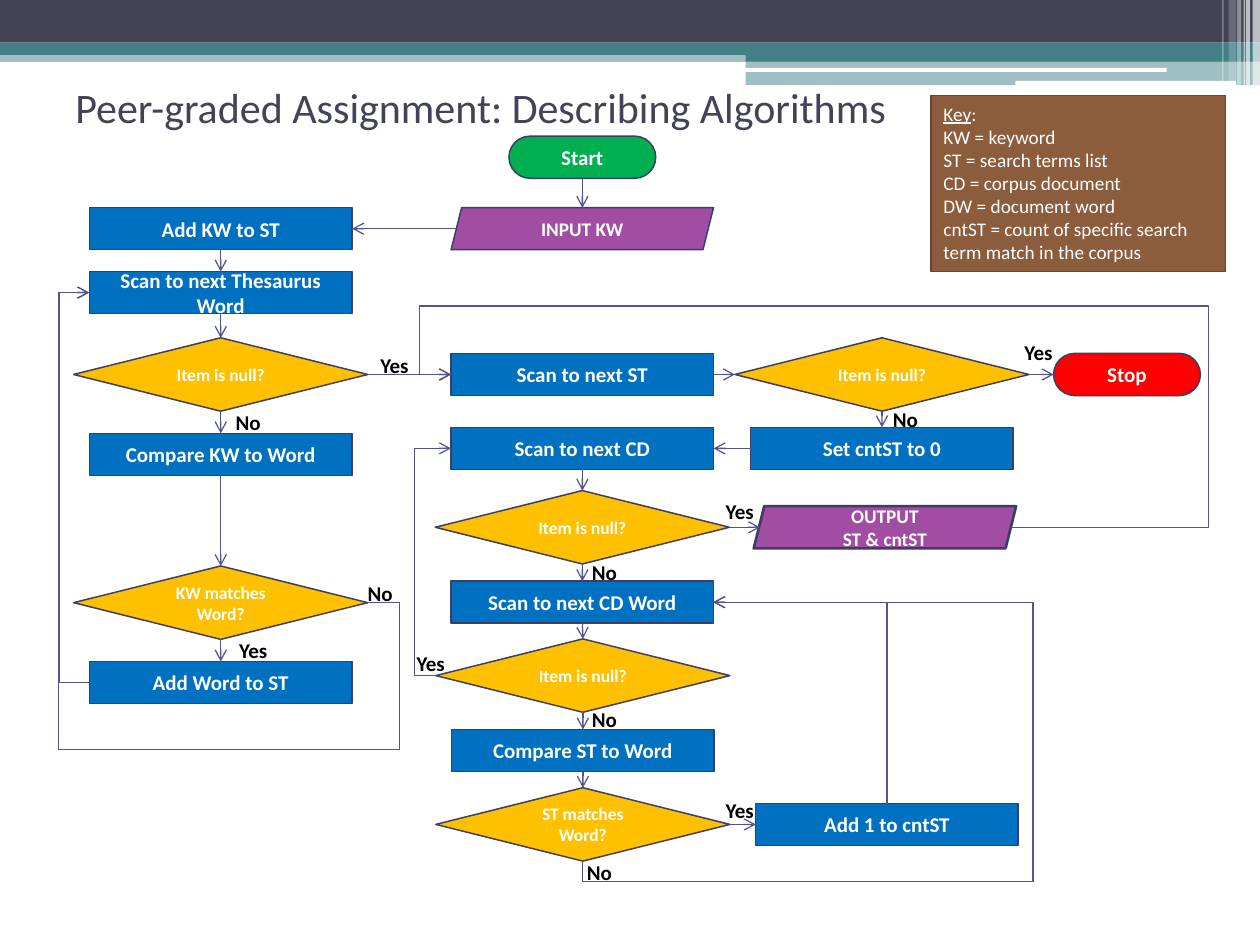
"""Build the flowchart slide for the keyword search algorithm."""
from itertools import pairwise

from lxml import etree
from pptx import Presentation
from pptx import util as u
from pptx.dml.color import RGBColor
from pptx.enum import shapes, text
from pptx.oxml.ns import qn

WHITE = RGBColor(0xFF, 0xFF, 0xFF)
BLACK = RGBColor(0, 0, 0)
SLATE = RGBColor(0x42, 0x44, 0x56)
TEAL = RGBColor(0x43, 0x80, 0x86)
BLUE = RGBColor(0x00, 0x70, 0xC0)
GOLD = RGBColor(0xFF, 0xC0, 0x00)
GREEN = RGBColor(0x00, 0xB0, 0x50)
RED = RGBColor(0xFF, 0, 0)
PURPLE = RGBColor(0xA0, 0x4D, 0xA3)
BROWN = RGBColor(0x8B, 0x5D, 0x3D)
UMBER = RGBColor(0x67, 0x45, 0x2D)
EDGE = RGBColor(0x3D, 0x3E, 0x66)
INDIGO = RGBColor(0x53, 0x54, 0x8A)
FORM = shapes.MSO_SHAPE
TOP, LEFT, BOTTOM, RIGHT = range(4)

deck = Presentation()
deck.slide_width, deck.slide_height = u.Cm(25.4), u.Cm(19.05)
slide = deck.slides.add_slide(deck.slide_layouts[6])
items = slide.shapes


def write(shape, words, size=12, color=WHITE, bold=True, align=text.PP_ALIGN.CENTER,
          anchor=text.MSO_ANCHOR.MIDDLE, wrap=True):
    frame = shape.text_frame
    frame.word_wrap = wrap
    frame.vertical_anchor = anchor
    for i, line in enumerate(words.split("\n")):
        para = frame.add_paragraph() if i else frame.paragraphs[0]
        para.alignment = align
        for part in line.split("|"):
            run = para.add_run()
            run.text = part
            run.font.name, run.font.size, run.font.bold = "Calibri", u.Pt(size), bold
            run.font.color.rgb = color


def wire(start, end, bends=None, tip="tailEnd"):
    kind = shapes.MSO_CONNECTOR.STRAIGHT if bends is None else shapes.MSO_CONNECTOR.ELBOW
    link = items.add_connector(kind, *map(u.Cm, start + end))
    link.line.color.rgb = INDIGO
    link.line.width = u.Pt(0.75)
    prop = link._element.spPr
    etree.SubElement(prop.find(qn("a:ln")), qn(f"a:{tip}"), type="arrow")
    etree.SubElement(prop, qn("a:effectLst"))
    if bends is not None:
        geom = prop.find(qn("a:prstGeom"))
        geom.clear()
        geom.set("prst", f"bentConnector{len(bends) + 2}")
        guides = etree.SubElement(geom, qn("a:avLst"))
        for i, stop in enumerate(bends):
            axis = i % 2
            ratio = (stop - start[axis]) / (end[axis] - start[axis])
            name = "adj" if len(bends) == 1 else f"adj{i + 1}"
            etree.SubElement(guides, qn("a:gd"), name=f"adj{i + 1}" if name == "adj" else name,
                             fmla=f"val {round(ratio * 100000)}")
    return link


bands = [
    (0, 1.02, 25.4, 0.23, TEAL, 50), (0, 0, 25.4, 0.86, SLATE, 100),
    (0, 0.86, 25.4, 0.25, TEAL, 100), (15.03, 0.99, 10.37, 0.25, TEAL, 100),
    (15.03, 1.22, 10.37, 0.5, TEAL, 50), (15.01, 1.37, 8.51, 0.08, WHITE, 100),
    (20.47, 1.63, 4.45, 0.1, WHITE, 100), (25.25, 0, 0.15, 1.73, WHITE, 65),
    (25.12, 0, 0.08, 1.73, WHITE, 65), (25.07, 0, 0.03, 1.73, WHITE, 60),
    (24.94, 0, 0.08, 1.73, WHITE, 40), (24.77, 0, 0.15, 1.63, WHITE, 20),
    (24.64, 0, 0.03, 1.63, WHITE, 30),
]
for *place, color, alpha in bands:
    round_ends = color == WHITE and alpha == 100
    band = items.add_shape(FORM.ROUNDED_RECTANGLE if round_ends else FORM.RECTANGLE,
                           *map(u.Cm, place))
    band.shadow.inherit = False
    band.line.fill.background()
    band.fill.solid()
    band.fill.fore_color.rgb = color
    if alpha < 100:
        tint = band._element.spPr.find(qn("a:solidFill"))[0]
        etree.SubElement(tint, qn("a:alpha"), val=str(alpha * 1000))

title = items.add_textbox(u.Cm(1.27), u.Cm(1.42), u.Cm(22.86), u.Cm(1.47))
write(title, "Peer-graded Assignment: Describing Algorithms", size=24, color=SLATE,
      bold=False, align=text.PP_ALIGN.LEFT)

key = items.add_shape(FORM.RECTANGLE, u.Cm(18.77), u.Cm(1.93), u.Cm(5.94), u.Cm(3.55))
key.shadow.inherit = False
key.fill.solid()
key.fill.fore_color.rgb = BROWN
key.line.color.rgb = UMBER
key.line.width = u.Pt(0.85)
write(key, "Key|:\nKW = keyword\nST = search terms list\nCD = corpus document\n"
      "DW = document word\ncntST = count of specific search term match in the corpus",
      size=11, bold=False, align=text.PP_ALIGN.LEFT, anchor=text.MSO_ANCHOR.TOP)
key.text_frame.paragraphs[0].runs[0].font.underline = True

step = FORM.RECTANGLE, 5.29, 0.85, BLUE, 12
test = FORM.FLOWCHART_DECISION, 5.93, 1.48, GOLD, 10
data = FORM.PARALLELOGRAM, 5.29, 0.85, PURPLE, 11
begin = FORM.ROUNDED_RECTANGLE, 2.96, 0.85, GREEN, 12
halt = FORM.ROUNDED_RECTANGLE, 2.96, 0.85, RED, 12
nodes = {
    "start": (begin, 11.74, 3.17, "Start"),
    "input": (data, 11.74, 4.61, "INPUT KW"),
    "add kw": (step, 4.45, 4.61, "Add KW to ST"),
    "next word": (step, 4.45, 5.9, "Scan to next Thesaurus Word"),
    "word null": (test, 4.45, 7.55, "Item is null?"),
    "compare kw": (step, 4.45, 9.16, "Compare KW to Word"),
    "kw match": (test, 4.45, 12.15, "KW matches Word?"),
    "add word": (step, 4.45, 13.76, "Add Word to ST"),
    "next st": (step, 11.74, 7.55, "Scan to next ST"),
    "st null": (test, 17.78, 7.55, "Item is null?"),
    "stop": (halt, 22.72, 7.55, "Stop"),
    "set count": (step, 17.78, 9.04, "Set cntST to 0"),
    "next cd": (step, 11.74, 9.04, "Scan to next CD"),
    "cd null": (test, 11.74, 10.63, "Item is null?"),
    "output": (data, 17.84, 10.63, "OUTPUT\nST & cntST"),
    "cd word": (step, 11.74, 12.14, "Scan to next CD Word"),
    "cd word null": (test, 11.75, 13.62, "Item is null?"),
    "compare st": (step, 11.75, 15.13, "Compare ST to Word"),
    "st match": (test, 11.75, 16.62, "ST matches Word?"),
    "add one": (step, 17.88, 16.62, "Add 1 to cntST"),
}
drawn = {}
for name, ((form, width, height, color, size), x, y, words) in nodes.items():
    node = items.add_shape(form, u.Cm(x - width / 2), u.Cm(y - height / 2),
                           u.Cm(width), u.Cm(height))
    node.shadow.inherit = False
    node.fill.solid()
    node.fill.fore_color.rgb = color
    node.line.color.rgb = EDGE
    node.line.width = u.Pt(1.5 if name == "output" else 0.85)
    if form == FORM.ROUNDED_RECTANGLE:
        node.adjustments[0] = 0.5
    write(node, words, size=size)
    drawn[name] = node

chains = [
    (BOTTOM, TOP, ["add kw", "next word", "word null", "compare kw", "kw match", "add word"]),
    (BOTTOM, TOP, ["next cd", "cd null", "cd word", "cd word null", "compare st", "st match"]),
    (BOTTOM, TOP, ["st null", "set count"]),
    (RIGHT, LEFT, ["word null", "next st", "st null", "stop"]),
    (RIGHT, LEFT, ["st match", "add one"]),
    (LEFT, RIGHT, ["set count", "next cd"]),
]
for out, into, names in chains:
    for a, b in pairwise(names):
        link = wire((0, 0), (1, 1))
        link.begin_connect(drawn[a], out)
        link.end_connect(drawn[b], into)

wire((11.74, 3.6), (11.74, 4.19))
wire((9.2, 4.61), (7.1, 4.61))
wire((14.71, 10.63), (15.32, 10.63))
wire((1.83, 13.76), (1.8, 5.9), [1.19])
wire((7.42, 12.15), (1.8, 5.9), [8.05, 15.11, 1.19])
wire((20.4, 10.63), (9.09, 7.55), [24.36, 6.17, 8.46])
wire((8.79, 13.62), (9.09, 9.04), [8.36])
wire((14.38, 12.14), (17.88, 16.2), [], tip="headEnd")
wire((14.38, 12.14), (11.75, 17.36), [20.83, 17.78], tip="headEnd")

marks = {
    "Yes": [(4.57, 12.73), (7.42, 6.99), (20.4, 6.73), (14.38, 9.93), (8.15, 12.98),
            (14.38, 15.95)],
    "No": [(4.5, 8.13), (17.75, 8.08), (7.16, 11.58), (11.68, 11.15), (11.68, 14.12),
           (11.58, 17.2)],
}
for words, spots in marks.items():
    for x, y in spots:
        mark = items.add_textbox(u.Cm(x), u.Cm(y), u.Cm(1.07 if words == "Yes" else 1.02),
                                 u.Cm(0.76))
        write(mark, words, color=BLACK, align=text.PP_ALIGN.LEFT,
              anchor=text.MSO_ANCHOR.TOP, wrap=False)
        mark.text_frame.auto_size = text.MSO_AUTO_SIZE.SHAPE_TO_FIT_TEXT

deck.save("out.pptx")
